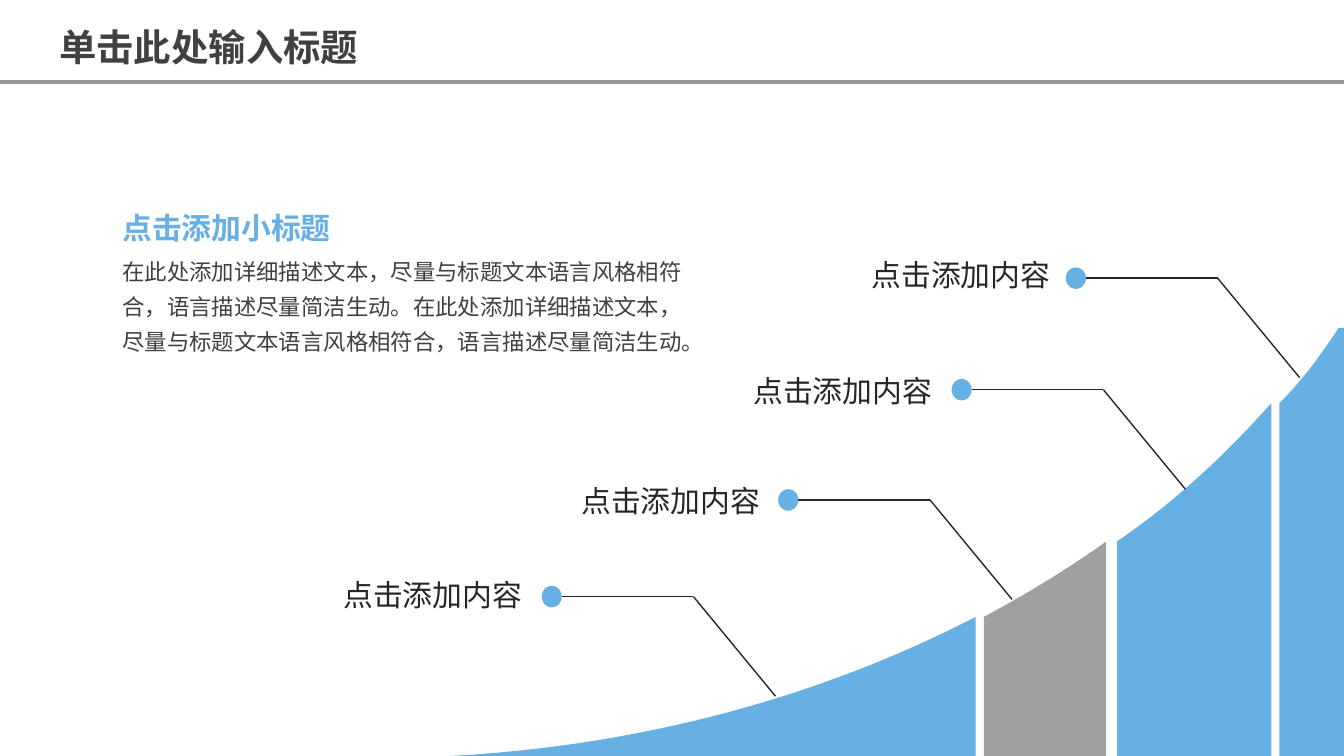
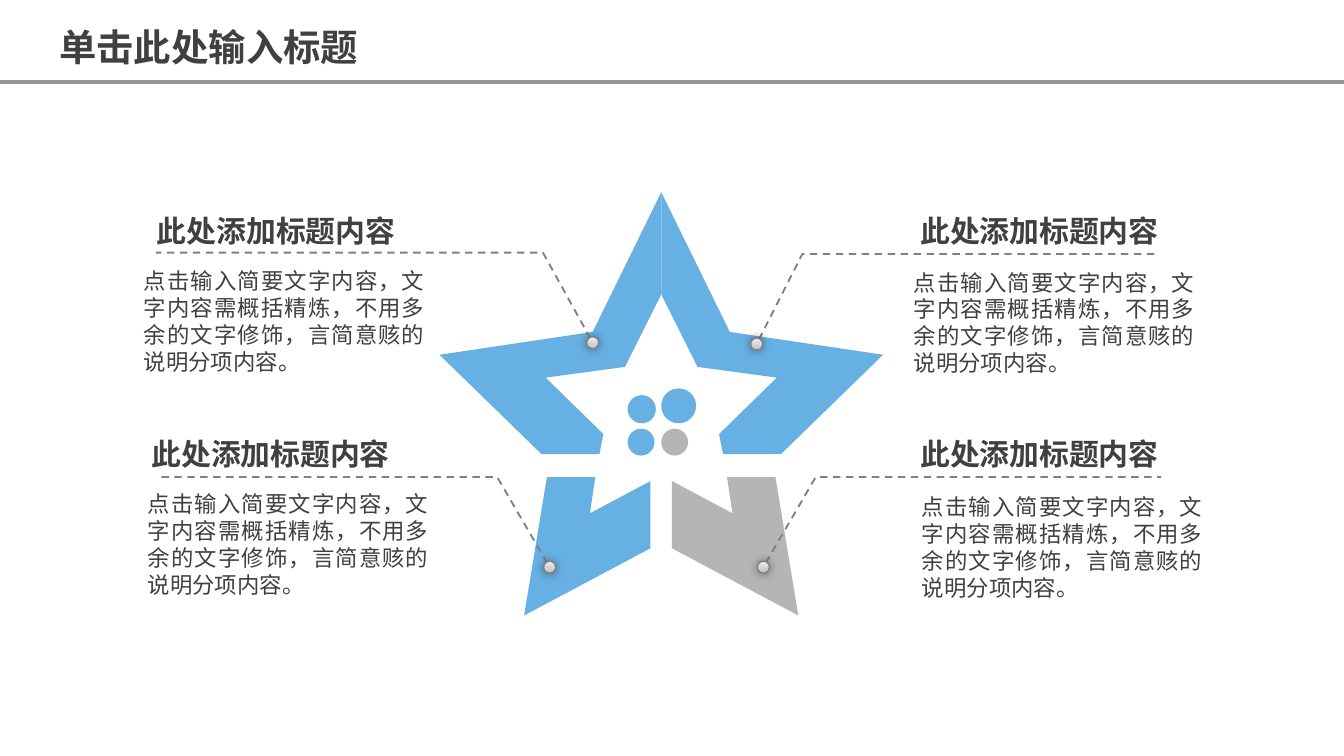
"""Build two slides: a rising curve with labels and a star with notes."""
import copy
from dataclasses import dataclass

import pptx
import pptx.dml.color
import pptx.enum.dml
import pptx.enum.shapes
import pptx.enum.text
import pptx.oxml.ns
import pptx.shapes.autoshape
import pptx.slide
import pptx.text.text
import pptx.util
from lxml import etree
from pptx.dml.color import RGBColor
from pptx.util import Inches

Point = tuple[float, float]
Align = pptx.enum.text.PP_ALIGN
qn = pptx.oxml.ns.qn

FONT = "Noto Sans CJK SC"
BLUE = RGBColor(0x67, 0xB0, 0xE3)
GRAY = RGBColor(0xA0, 0xA0, 0xA0)
SILVER = RGBColor(0xB5, 0xB5, 0xB5)
RULE = RGBColor(0x96, 0x96, 0x96)
WIRE = RGBColor(0x80, 0x80, 0x80)
DARK = RGBColor(0x40, 0x40, 0x40)
INK = RGBColor(0x26, 0x26, 0x26)
SHADES = ((0, RGBColor(0xBD, 0xBD, 0xBD)), (0.35, RGBColor(0xD1, 0xD1, 0xD1)),
          (1, RGBColor(0xEE, 0xEE, 0xEE)))

WIDTH = 10
HEIGHT = WIDTH * 9 / 16
AXIS = 4.92
KNOB = 0.09

TITLE = "单击此处输入标题"
LABEL = "点击添加内容"
LEAD = "点击添加小标题"
STORY = ("在此处添加详细描述文本，尽量与标题文本语言风格相符合，语言描述尽量简洁生动。"
         "在此处添加详细描述文本，尽量与标题文本语言风格相符合，语言描述尽量简洁生动。")
HEAD = "此处添加标题内容"
BODY = "点击输入简要文字内容，文字内容需概括精炼，不用多余的文字修饰，言简意赅的说明分项内容。"


@dataclass(frozen=True)
class Band:
    rim: tuple[Point, Point, Point, Point]
    right: float
    fill: RGBColor


@dataclass(frozen=True)
class Step:
    label: Point
    dot: Point


@dataclass(frozen=True)
class Disc:
    left: float
    top: float
    size: float
    fill: RGBColor


@dataclass(frozen=True)
class Note:
    head: tuple[float, float, float, float]
    body: Point
    wire: tuple[Point, Point, Point]


BANDS = (
    Band(((3.35, HEIGHT), (4.78, 5.55), (6.12, 5.18), (7.26, 4.59)), 7.26, BLUE),
    Band(((7.32, 4.59), (7.64, 4.42), (7.95, 4.23), (8.23, 4.03)), 8.23, GRAY),
    Band(((8.31, 4.03), (8.75, 3.73), (9.12, 3.38), (9.46, 3)), 9.46, BLUE),
    Band(((9.52, 3), (9.69, 2.83), (9.83, 2.64), (9.96, 2.44)), WIDTH, BLUE),
)
STEPS = (
    Step((2.45, 4.25), (4.03, 4.36)),
    Step((4.22, 3.55), (5.79, 3.64)),
    Step((5.5, 2.73), (7.08, 2.82)),
    Step((6.38, 1.87), (7.93, 1.99)),
)
LEG = ((5, 3.58), (5, 4.08), (5.94, 4.58), (5.77, 3.55), (5.41, 3.55), (5.45, 3.82))
ARM = ((5.43, 2.47), (4.92, 1.43), (4.92, 2.19), (5.19, 2.73), (5.78, 2.81),
       (5.35, 3.23), (5.38, 3.38), (5.81, 3.38), (6.57, 2.64))
DISCS = (
    Disc(4.67, 2.94, 0.21, BLUE),
    Disc(4.92, 2.89, 0.26, BLUE),
    Disc(4.67, 3.19, 0.2, BLUE),
    Disc(4.92, 3.19, 0.2, SILVER),
)
NOTES = (
    Note((1.07, 1.4, 2.16, 0.5), (1, 1.95), ((4.41, 2.55), (4.04, 1.88), (1.16, 1.88))),
    Note((6.75, 1.4, 2.06, 0.46), (6.73, 1.96), ((5.63, 2.56), (5.97, 1.89), (8.62, 1.89))),
    Note((6.75, 3.06, 2.06, 0.46), (6.79, 3.63), ((5.68, 4.22), (6.07, 3.55), (8.64, 3.55))),
    Note((1.03, 3.06, 2.16, 0.5), (1.03, 3.61), ((4.09, 4.22), (3.7, 3.55), (1.16, 3.55))),
)


def write(para: pptx.text.text._Paragraph, text: str, *, size: float, color: RGBColor = DARK,
          bold: bool = False, align: Align = Align.LEFT, pitch: float = 1,
          before: float = 0) -> None:
    para.alignment = align
    para.line_spacing = pitch
    para.space_before = pptx.util.Pt(before)
    run = para.add_run()
    run.text = text
    font = run.font
    font.name, font.size, font.bold = FONT, pptx.util.Pt(size), bold
    font.color.rgb = color
    etree.SubElement(run._r.get_or_add_rPr(), qn("a:ea"), typeface=FONT)


def box(slide: pptx.slide.Slide, left: float, top: float, width: float, height: float,
        tight: bool = False, grow: bool = True) -> pptx.text.text.TextFrame:
    shape = slide.shapes.add_textbox(*map(Inches, (left, top, width, height)))
    frame = shape.text_frame
    frame.word_wrap = True
    if grow:
        frame.auto_size = pptx.enum.text.MSO_AUTO_SIZE.SHAPE_TO_FIT_TEXT
    if tight:
        frame.margin_left = frame.margin_right = Inches(0.07)
        frame.margin_top = frame.margin_bottom = Inches(0.04)
    return frame


def line(slide: pptx.slide.Slide, start: Point, end: Point, color: RGBColor,
         weight: float) -> None:
    link = slide.shapes.add_connector(pptx.enum.shapes.MSO_CONNECTOR.STRAIGHT,
                                      *map(Inches, (*start, *end)))
    link.line.color.rgb = color
    link.line.width = pptx.util.Pt(weight)
    etree.SubElement(link._element.spPr, qn("a:effectLst"))


def oval(slide: pptx.slide.Slide, left: float, top: float, width: float, height: float,
         fill: RGBColor) -> pptx.shapes.autoshape.Shape:
    shape = slide.shapes.add_shape(pptx.enum.shapes.MSO_SHAPE.OVAL,
                                   *map(Inches, (left, top, width, height)))
    shape.shadow.inherit = False
    shape.fill.solid()
    shape.fill.fore_color.rgb = fill
    shape.line.fill.background()
    return shape


def trace(slide: pptx.slide.Slide, points: list[Point],
          close: bool) -> pptx.shapes.autoshape.Shape:
    spots = [(Inches(x), Inches(y)) for x, y in points]
    pen = slide.shapes.build_freeform(*spots[0])
    pen.add_line_segments(spots[1:], close=close)
    shape = pen.convert_to_shape()
    shape.shadow.inherit = False
    return shape


def patch(slide: pptx.slide.Slide, points: list[Point], fill: RGBColor) -> None:
    shape = trace(slide, points, True)
    shape.fill.solid()
    shape.fill.fore_color.rgb = fill
    shape.line.fill.background()


def wire(slide: pptx.slide.Slide, points: tuple[Point, ...]) -> None:
    shape = trace(slide, list(points), False)
    shape.fill.background()
    shape.line.color.rgb = WIRE
    shape.line.width = pptx.util.Pt(1)
    shape.line.dash_style = pptx.enum.dml.MSO_LINE.DASH
    etree.SubElement(shape.line._get_or_add_ln(), qn("a:headEnd"), type="oval")


def knob(slide: pptx.slide.Slide, spot: Point) -> None:
    shape = oval(slide, spot[0] - KNOB / 2, spot[1] - KNOB / 2, KNOB, KNOB, SILVER)
    shape.line.color.rgb = WIRE
    shape.line.width = pptx.util.Pt(0.75)
    shape.fill.gradient()
    shape.fill.gradient_angle = 90
    props = shape._element.spPr
    stops = props.find(qn("a:gradFill")).find(qn("a:gsLst"))
    stops.insert(1, copy.deepcopy(stops[0]))
    for stop, (place, color) in zip(shape.fill.gradient_stops, SHADES):
        stop.position = place
        stop.color.rgb = color
    glow = etree.SubElement(props.find(qn("a:effectLst")), qn("a:outerShdw"),
                            blurRad=str(pptx.util.Pt(5)), dist="0", dir="0")
    black = etree.SubElement(glow, qn("a:srgbClr"), val="000000")
    etree.SubElement(black, qn("a:alpha"), val="40000")


def curve(rim: tuple[Point, Point, Point, Point], count: int = 24) -> list[Point]:
    def blend(t: float, a: float, b: float, c: float, d: float) -> float:
        u = 1 - t
        return u ** 3 * a + 3 * u * u * t * b + 3 * u * t * t * c + t ** 3 * d

    xs, ys = zip(*rim)
    return [(blend(i / count, *xs), blend(i / count, *ys)) for i in range(count + 1)]


def flip(points: tuple[Point, ...]) -> list[Point]:
    return [(2 * AXIS - x, y) for x, y in points]


def start(deck: pptx.presentation.Presentation) -> pptx.slide.Slide:
    slide = deck.slides.add_slide(deck.slide_layouts[5])
    title = slide.shapes.title
    title.left, title.top, title.width, title.height = map(Inches, (0.34, 0.06, 2.61, 0.5))
    frame = title.text_frame
    frame.word_wrap = True
    frame.auto_size = pptx.enum.text.MSO_AUTO_SIZE.SHAPE_TO_FIT_TEXT
    frame.vertical_anchor = pptx.enum.text.MSO_ANCHOR.TOP
    write(frame.paragraphs[0], TITLE, size=20, bold=True, pitch=1.2)
    line(slide, (0, 0.61), (WIDTH, 0.61), RULE, 1.75)
    return slide


def draw_curve(slide: pptx.slide.Slide) -> None:
    for band in BANDS:
        points = curve(band.rim)
        points += [(band.right, points[-1][1]), (band.right, HEIGHT), (points[0][0], HEIGHT)]
        patch(slide, points, band.fill)
    frame = box(slide, 0.84, 1.52, 4.4, 1.14, tight=True, grow=False)
    write(frame.paragraphs[0], LEAD, size=16, color=BLUE, bold=True)
    write(frame.add_paragraph(), STORY, size=12, pitch=1.3, before=2.4)
    for step in STEPS:
        left, top = step.dot
        bend = (left + 1.13, top + 0.08)
        oval(slide, left, top, 0.15, 0.16, BLUE)
        line(slide, (bend[0] + 0.61, bend[1] + 0.74), bend, INK, 0.75)
        line(slide, bend, (left + 0.15, bend[1]), INK, 0.75)
        frame = box(slide, *step.label, 1.54, 0.34, tight=True)
        write(frame.paragraphs[0], LABEL, size=16, color=INK, align=Align.CENTER)


def draw_star(slide: pptx.slide.Slide) -> None:
    patch(slide, list(LEG), SILVER)
    for points in (flip(LEG), list(ARM), flip(ARM)):
        patch(slide, points, BLUE)
    for disc in DISCS:
        oval(slide, disc.left, disc.top, disc.size, disc.size, disc.fill)
    for note in NOTES:
        frame = box(slide, *note.head)
        write(frame.paragraphs[0], HEAD, size=16, bold=True, pitch=1.5)
        wire(slide, note.wire)
        knob(slide, note.wire[0])
        frame = box(slide, *note.body, 2.23, 0.88, tight=True)
        write(frame.paragraphs[0], BODY, size=12, align=Align.JUSTIFY)


def main() -> None:
    deck = pptx.Presentation()
    deck.slide_width, deck.slide_height = Inches(WIDTH), Inches(HEIGHT)
    draw_curve(start(deck))
    draw_star(start(deck))
    deck.save("out.pptx")


if __name__ == "__main__":
    main()
